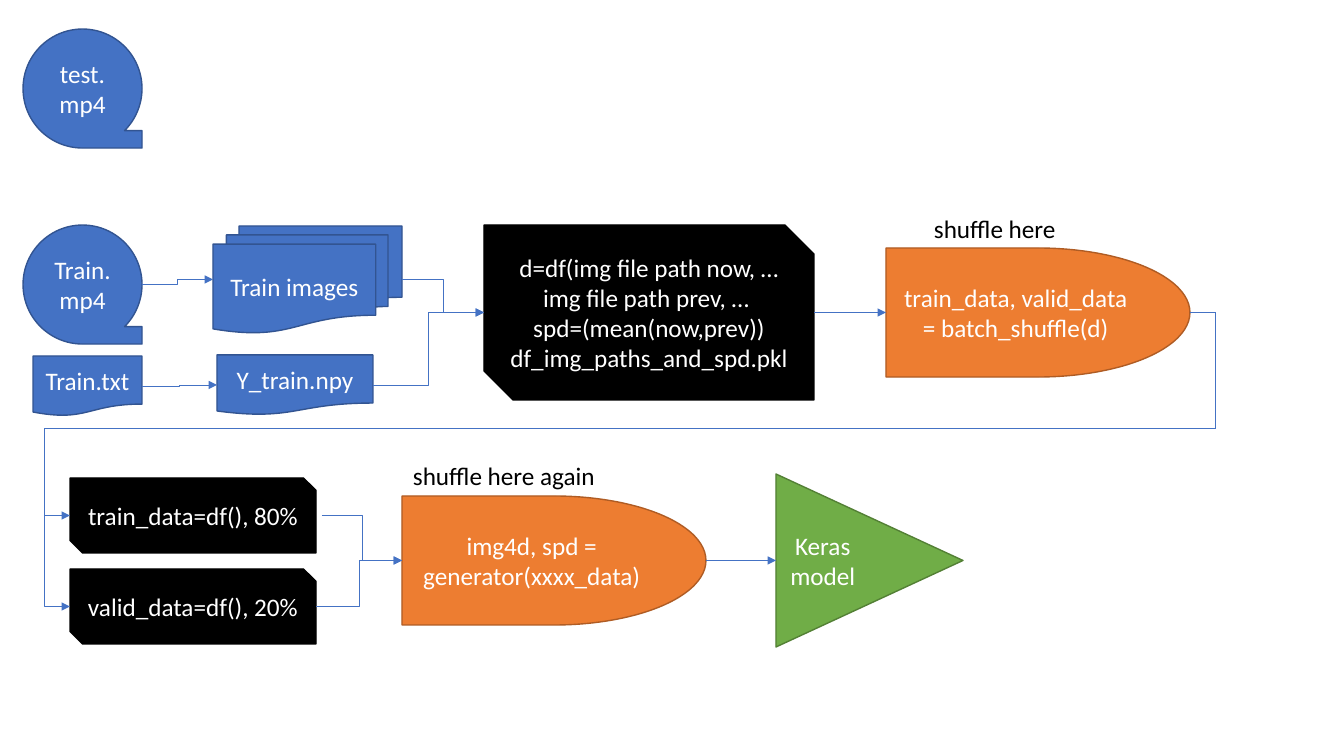
"""Build the training data flow slide."""
from lxml import etree
from pptx import Presentation
from pptx.dml.color import RGBColor
from pptx.enum import shapes, text
from pptx.oxml.ns import qn
from pptx import util as u

PX = 914400 / 100.8
FONT, SIZE = "Calibri", 18
COLORS = {
    "file": "4472C4", "file_edge": "325491",
    "frame": "000000", "frame_edge": "000000",
    "step": "ED7D31", "step_edge": "AF5C24",
    "model": "70AD47", "model_edge": "538035",
    "arrow": "4472C4", "on_fill": "FFFFFF", "label": "000000",
}
KIND = shapes.MSO_SHAPE
TAPE = (KIND.FLOWCHART_SEQUENTIAL_ACCESS_STORAGE, "file")
DOCUMENT = (KIND.FLOWCHART_DOCUMENT, "file")
IMAGES = (KIND.FLOWCHART_MULTIDOCUMENT, "file")
FRAME = (KIND.SNIP_2_DIAG_RECTANGLE, "frame")
STEP = (KIND.FLOWCHART_DELAY, "step")
MODEL = (KIND.ISOSCELES_TRIANGLE, "model")

NODES = {
    "images": (IMAGES, (213, 226, 189, 107), ["Train images"]),
    "train_video": (TAPE, (23, 225, 119, 119), ["Train.mp4"]),
    "test_video": (TAPE, (23, 29, 119, 119), ["test.mp4"]),
    "train_text": (DOCUMENT, (33, 356, 109, 60), ["Train.txt"]),
    "speeds": (DOCUMENT, (217, 355, 156, 60), ["Y_train.npy"]),
    "pairs": (FRAME, (484, 225, 330, 175), [
        "d=df(img file path now, … img file path prev, … ",
        "spd=(mean(now,prev))",
        "df_img_paths_and_spd.pkl"]),
    "split": (STEP, (886, 248, 304, 129), ["train_data, valid_data = batch_shuffle(d)"]),
    "train_data": (FRAME, (70, 478, 246, 75), ["train_data=df(), 80%"]),
    "valid_data": (FRAME, (70, 569, 246, 75), ["valid_data=df(), 20%"]),
    "generator": (STEP, (402, 496, 304, 129), ["img4d, spd = generator(xxxx_data)"]),
    "keras": (MODEL, (776, 474, 187, 173), ["Keras model"]),
}
LABELS = [
    ("shuffle here", (924, 208, 178, 40)),
    ("shuffle here again", (403, 455, 226, 40)),
]
FLOWS = [
    ("train_video", "images", 0), ("train_text", "speeds", 0),
    ("images", "pairs", 0), ("speeds", "pairs", 0), ("pairs", "split", 0),
    ("split", "train_data", 0), ("split", "valid_data", 0),
    ("train_data", "generator", 6), ("valid_data", "generator", 0),
    ("generator", "keras", 0),
]
RETURN_MARGIN, RETURN_Y = 26, 428


def emu(*pixels):
    return [u.Emu(round(p * PX)) for p in pixels]


def rgb(name):
    return RGBColor.from_string(COLORS[name])


def write(frame, lines, color, align):
    frame.word_wrap = True
    for i, line in enumerate(lines):
        paragraph = frame.paragraphs[0] if i == 0 else frame.add_paragraph()
        paragraph.alignment = align
        run = paragraph.add_run()
        run.text = line
        run.font.name, run.font.size = FONT, u.Pt(SIZE)
        run.font.color.rgb = rgb(color)


def add_node(slide, style, box, lines):
    kind, role = style
    x, y, w, h = box
    turned = kind == KIND.ISOSCELES_TRIANGLE
    if turned:
        x, y, w, h = x + (w - h) / 2, y + (h - w) / 2, h, w
    node = slide.shapes.add_shape(kind, *emu(x, y, w, h))
    node.shadow.inherit = False
    node.fill.solid()
    node.fill.fore_color.rgb = rgb(role)
    node.line.color.rgb = rgb(role + "_edge")
    node.line.width = u.Pt(1)
    node.text_frame.vertical_anchor = text.MSO_ANCHOR.MIDDLE
    write(node.text_frame, lines, "on_fill", text.PP_ALIGN.CENTER)
    if turned:
        node.rotation = 90
        node.text_frame._txBody.find(qn("a:bodyPr")).set("vert", "vert270")


def add_flow(slide, source, target, gap):
    left, top, width, height = NODES[source][1]
    x1, y1 = left + width + gap, top + height / 2
    x2, top, _, height = NODES[target][1]
    y2 = top + height / 2
    flow = slide.shapes.add_connector(shapes.MSO_CONNECTOR.ELBOW, *emu(x1, y1, x2, y2))
    flow.line.color.rgb = rgb("arrow")
    flow.line.width = u.Pt(0.5)
    properties = flow._element.spPr
    etree.SubElement(properties.find(qn("a:ln")), qn("a:tailEnd"), type="triangle")
    etree.SubElement(properties, qn("a:effectLst"))
    if x2 < x1:
        overshoot = RETURN_MARGIN / (x1 - x2)
        bends = (-overshoot, (RETURN_Y - y1) / (y2 - y1), 1 + overshoot)
        geometry = properties.find(qn("a:prstGeom"))
        geometry.set("prst", "bentConnector5")
        guides = geometry.find(qn("a:avLst"))
        for i, bend in enumerate(bends, 1):
            etree.SubElement(guides, qn("a:gd"), name=f"adj{i}",
                             fmla=f"val {round(bend * 100000)}")


def main():
    deck = Presentation()
    deck.slide_width, deck.slide_height = emu(1344, 756)
    slide = deck.slides.add_slide(deck.slide_layouts[6])
    for style, box, lines in NODES.values():
        add_node(slide, style, box, lines)
    for label, box in LABELS:
        frame = slide.shapes.add_textbox(*emu(*box)).text_frame
        write(frame, [label], "label", text.PP_ALIGN.LEFT)
    for source, target, gap in FLOWS:
        add_flow(slide, source, target, gap)
    deck.save("out.pptx")


main()
